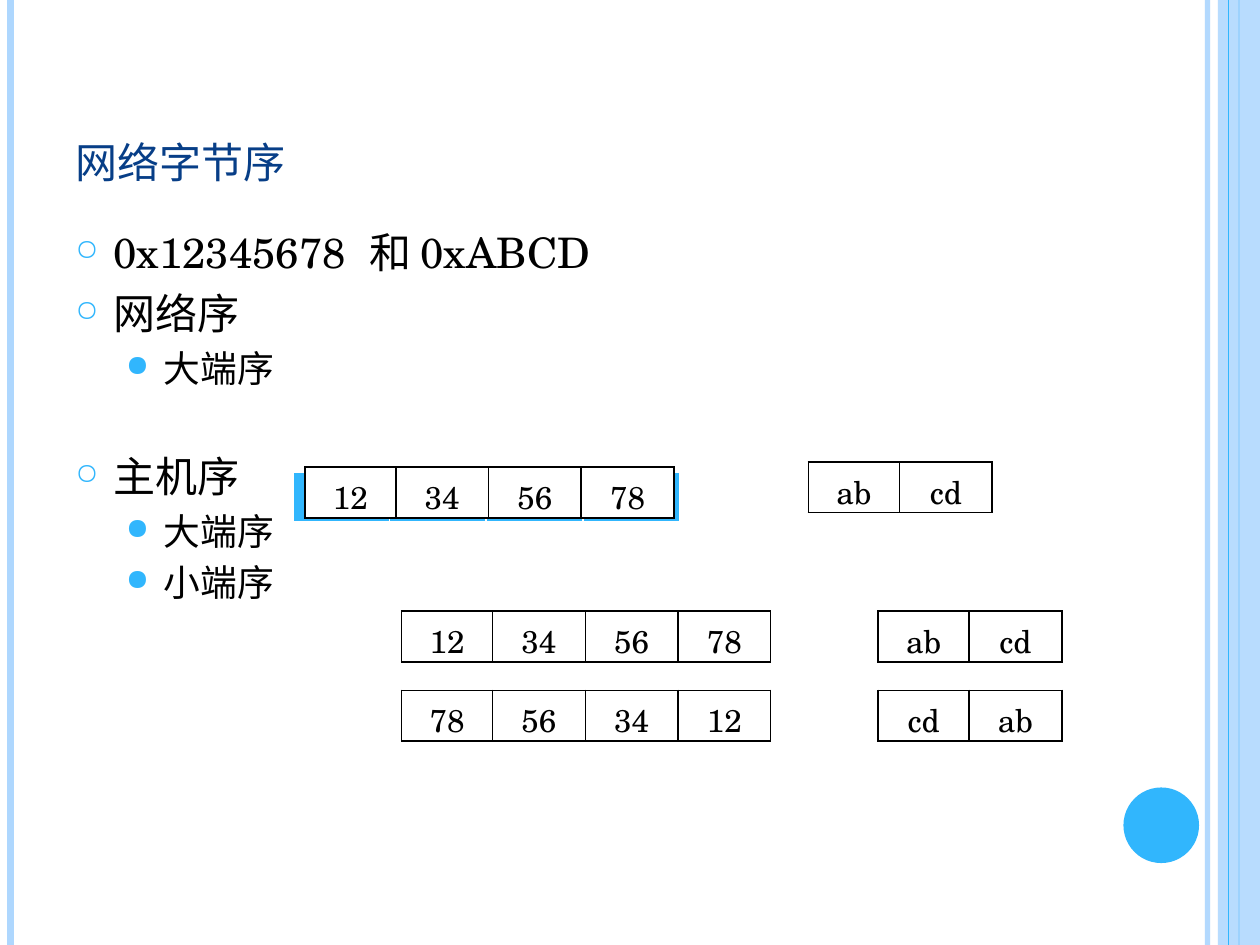
import pptx
import pptx.dml.color
import pptx.enum.shapes
import pptx.enum.text
import pptx.oxml.ns
import pptx.oxml.xmlchemy
import pptx.util
from dataclasses import dataclass

Pt = pptx.util.Pt
qn = pptx.oxml.ns.qn


@dataclass(frozen=True)
class Theme:
    """Colours and type sizes of the slide."""
    font: str = "TeX Gyre Schola"
    accent: str = "31B6FD"
    pale: str = "AED7FE"
    heading: str = "073E87"
    ink: str = "000000"
    paper: str = "FFFFFF"
    title_size: float = 30
    body_sizes: tuple = (24, 21)
    cell_size: float = 18


THEME = Theme()
SLIDE_WIDTH, SLIDE_HEIGHT = 720, 540
BULLETS = (("○", 70), ("●", 80))
INDENTS = (21.6, 50.4)
HANGING = 21.6
SPACES_BEFORE = (6, 4.2)
BYTE_WIDTHS = (52, 53, 53, 53)
ROW_HEIGHT = 29


def rgb(colour):
    """Turn a hexadecimal string into a colour."""
    return pptx.dml.color.RGBColor.from_string(colour)


def add_child(parent, tag, index=None, **attributes):
    """Add a drawing element to a parent and return it."""
    child = pptx.oxml.xmlchemy.OxmlElement(tag)
    for name, value in attributes.items():
        child.set(name, str(value))
    parent.insert(len(parent) if index is None else index, child)
    return child


def set_alpha(properties, percent):
    """Make the solid colour inside the given properties translucent."""
    colour = next(properties.iter(qn("a:srgbClr")))
    add_child(colour, "a:alpha", val=percent * 1000)


def format_run(run, size, colour):
    """Apply the theme font, a size and a colour to a run."""
    run.font.name = THEME.font
    run.font.size = Pt(size)
    run.font.color.rgb = rgb(colour)


def add_rule(slide, x, colour, width, alpha=100):
    """Draw a vertical rule over the full height of the slide."""
    line = slide.shapes.add_connector(
        pptx.enum.shapes.MSO_CONNECTOR.STRAIGHT, Pt(x), Pt(0), Pt(x), Pt(SLIDE_HEIGHT))
    line.line.color.rgb = rgb(colour)
    line.line.width = Pt(width)
    properties = line._element.spPr
    if alpha < 100:
        set_alpha(properties, alpha)
    add_child(properties, "a:effectLst")


def add_block(slide, kind, box, colour, alpha=100):
    """Draw a filled shape without outline."""
    shape = slide.shapes.add_shape(kind, *map(Pt, box))
    shape.shadow.inherit = False
    shape.fill.solid()
    shape.fill.fore_color.rgb = rgb(colour)
    shape.line.fill.background()
    if alpha < 100:
        set_alpha(shape._element.spPr, alpha)


def add_frame(slide):
    """Draw the rules, the side band and the disc around the content."""
    shapes = pptx.enum.shapes.MSO_SHAPE
    add_rule(slide, 690, THEME.pale, 3, 93)
    add_rule(slide, 6, THEME.pale, 4.5)
    add_rule(slide, 708, THEME.accent, 1.5)
    add_block(slide, shapes.RECTANGLE, (696, 0, 24, SLIDE_HEIGHT), THEME.pale, 87)
    add_rule(slide, 702, THEME.accent, 0.75)
    add_block(slide, shapes.OVAL, (642, 450, 43.2, 43.2), THEME.accent)


def add_title(slide, box, text):
    """Write the small-caps title at the bottom of its box."""
    frame = slide.shapes.add_textbox(*map(Pt, box)).text_frame
    frame.word_wrap = True
    frame.vertical_anchor = pptx.enum.text.MSO_ANCHOR.BOTTOM
    frame.text = text
    run = frame.paragraphs[0].runs[0]
    format_run(run, THEME.title_size, THEME.heading)
    run._r.get_or_add_rPr().set("cap", "small")


def add_outline(slide, box, items):
    """Write a bulleted outline of (level, text, extra space before) items."""
    frame = slide.shapes.add_textbox(*map(Pt, box)).text_frame
    frame.word_wrap = True
    for index, (level, text, extra) in enumerate(items):
        paragraph = frame.add_paragraph() if index else frame.paragraphs[0]
        paragraph.text = text
        paragraph.level = level
        paragraph.space_before = Pt(SPACES_BEFORE[level] + extra)
        format_run(paragraph.runs[0], THEME.body_sizes[level], THEME.ink)
        properties = paragraph._p.get_or_add_pPr()
        properties.set("marL", str(Pt(INDENTS[level])))
        properties.set("indent", str(-Pt(HANGING)))
        character, percent = BULLETS[level]
        add_child(add_child(properties, "a:buClr"), "a:srgbClr", val=THEME.accent)
        add_child(properties, "a:buSzPct", val=percent * 1000)
        add_child(properties, "a:buChar", char=character)


def set_borders(cell, colour, bottom_width):
    """Give a cell 1 pt borders and a bottom border of its own width."""
    properties = cell._tc.get_or_add_tcPr()
    widths = {"a:lnL": 1, "a:lnR": 1, "a:lnT": 1, "a:lnB": bottom_width}
    for index, (tag, width) in enumerate(widths.items()):
        border = add_child(properties, tag, index, w=Pt(width))
        add_child(add_child(border, "a:solidFill"), "a:srgbClr", val=colour)


def add_byte_row(slide, left, top, values, widths=BYTE_WIDTHS,
                 fill=THEME.paper, border=THEME.ink, bottom_width=1):
    """Draw a one-row table with one cell for each byte."""
    widths = widths[:len(values)]
    table = slide.shapes.add_table(
        1, len(values), Pt(left), Pt(top), Pt(sum(widths)), Pt(ROW_HEIGHT)).table
    table.first_row = table.horz_banding = False
    for column, width, cell, value in zip(table.columns, widths, table.rows[0].cells, values):
        column.width = Pt(width)
        cell.fill.solid()
        cell.fill.fore_color.rgb = rgb(fill)
        set_borders(cell, border, bottom_width)
        if value:
            cell.text_frame.text = value
            paragraph = cell.text_frame.paragraphs[0]
            paragraph.alignment = pptx.enum.text.PP_ALIGN.CENTER
            format_run(paragraph.runs[0], THEME.cell_size, THEME.ink)


def build_slide(presentation):
    """Build the slide about network byte order."""
    slide = presentation.slides.add_slide(presentation.slide_layouts[6])
    add_frame(slide)
    add_title(slide, (36, 21.6, 588, 90), "网络字节序")
    add_outline(slide, (36, 126, 588, 384), [
        (0, "0x12345678  和 0xABCD", 0),
        (0, "网络序", 0),
        (1, "大端序", 0),
        (0, "主机序", 29),
        (1, "大端序", 0),
        (1, "小端序", 0),
    ])
    add_byte_row(slide, 167.3, 270, [""] * 4, (55.25,) * 4,
                 THEME.accent, THEME.paper, 3)
    long_value, short_value = ["12", "34", "56", "78"], ["ab", "cd"]
    for left, top, values in (
        (174.2, 266.9, long_value),
        (229.5, 349.2, long_value),
        (229.5, 394.5, long_value[::-1]),
        (462, 264, short_value),
        (501.8, 349.2, short_value),
        (501.8, 394.5, short_value[::-1]),
    ):
        add_byte_row(slide, left, top, values)


presentation = pptx.Presentation()
presentation.slide_width = Pt(SLIDE_WIDTH)
presentation.slide_height = Pt(SLIDE_HEIGHT)
build_slide(presentation)
presentation.save("out.pptx")
